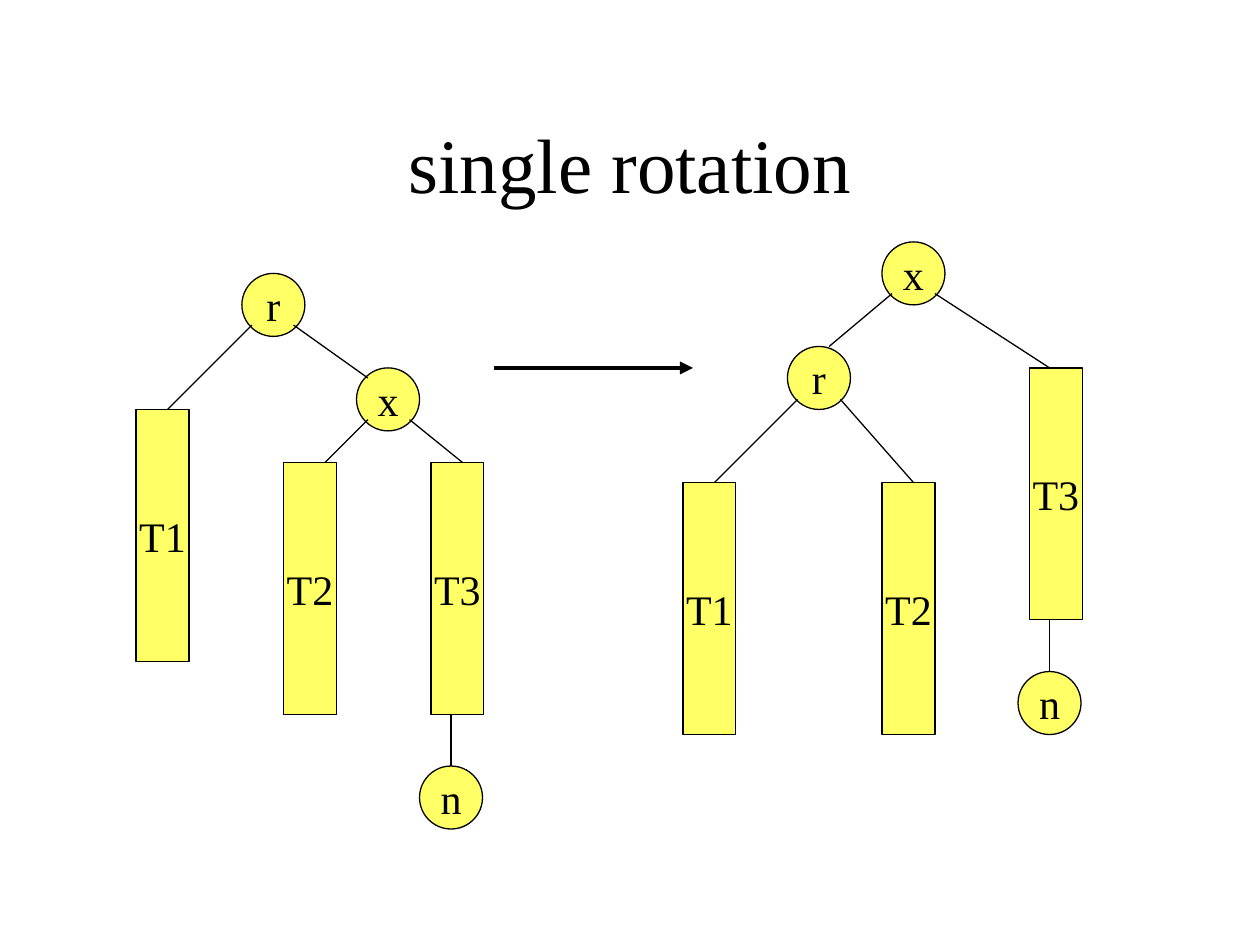
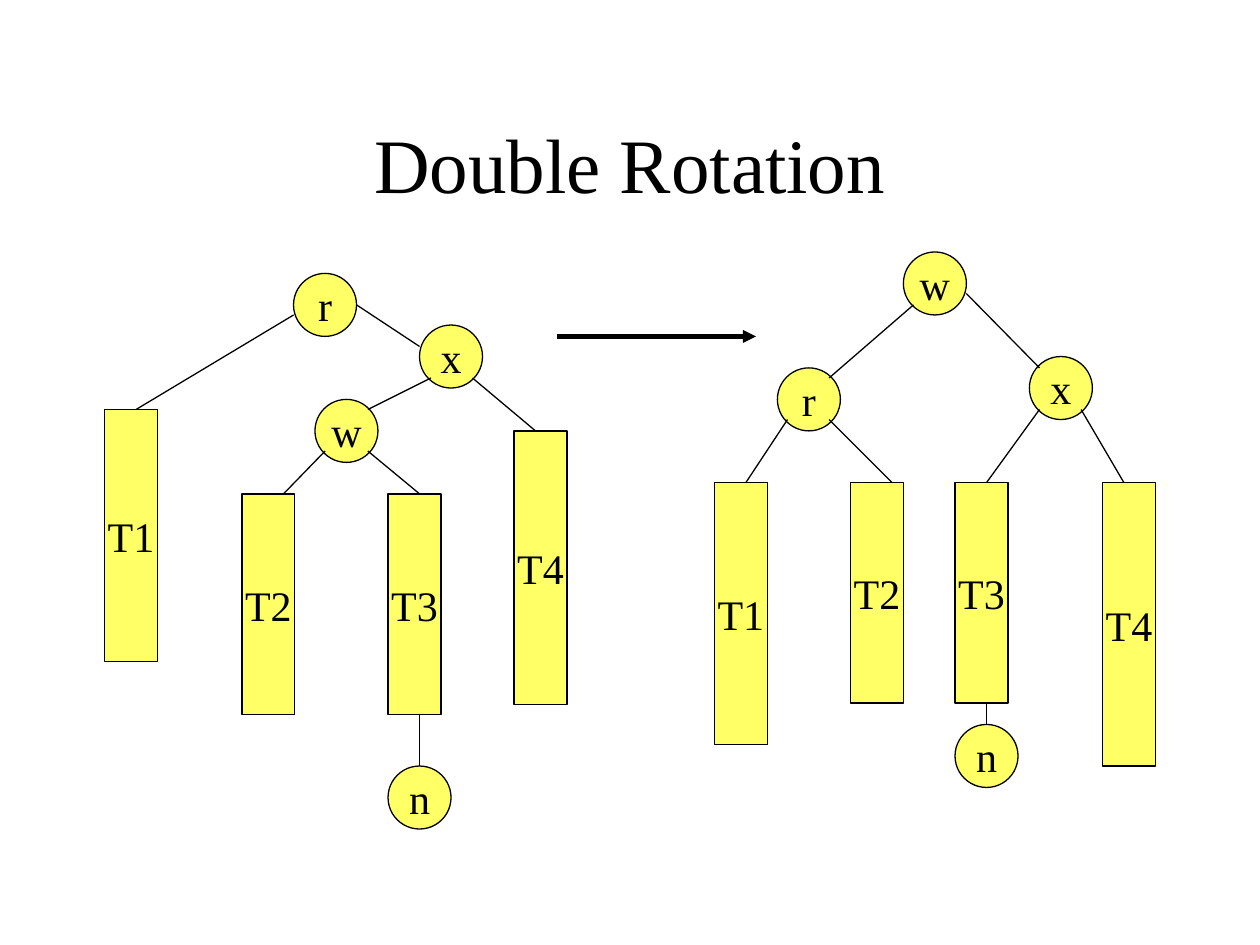
from lxml import etree
from pptx import Presentation
from pptx.dml.color import RGBColor
from pptx.enum.shapes import MSO_CONNECTOR, MSO_SHAPE
from pptx.enum.text import MSO_ANCHOR, PP_ALIGN
from pptx.oxml.ns import qn
from pptx.util import Inches, Pt

OVAL, RECT = MSO_SHAPE.OVAL, MSO_SHAPE.RECTANGLE
STRAIGHT = MSO_CONNECTOR.STRAIGHT
MIDDLE, CENTER = MSO_ANCHOR.MIDDLE, PP_ALIGN.CENTER

COLORS = {"fill": "FFFF66", "ink": "000000", "background": "FFFFFF"}
FONT = "Times New Roman"
NODE_SIZE = 0.5
SUBTREE_WIDTH = 0.42

SLIDES = [
    {
        "title": "single rotation",
        "nodes": [
            ("r", 1.92, 2.17), ("x", 2.83, 2.92), ("n", 3.33, 6.08),
            ("r", 6.25, 2.75), ("x", 7, 1.92), ("n", 8.08, 5.33),
        ],
        "subtrees": [
            ("T1", 1.08, 3.25, 2), ("T2", 2.25, 3.67, 2), ("T3", 3.42, 3.67, 2),
            ("T1", 5.42, 3.83, 2), ("T2", 7, 3.83, 2), ("T3", 8.17, 2.92, 2),
        ],
        "edges": [
            (2, 2.58, 1.33, 3.25), (2.33, 2.58, 2.92, 3),
            (2.92, 3.33, 2.58, 3.67), (3.25, 3.33, 3.67, 3.67),
            (3.58, 5.67, 3.58, 6.08),
            (6.33, 3.17, 5.67, 3.83), (7.08, 2.33, 6.58, 2.75),
            (6.67, 3.17, 7.25, 3.83), (7.42, 2.33, 8.33, 2.92),
            (8.33, 4.92, 8.33, 5.33),
        ],
        "arrow": (3.92, 2.92, 5.5, 2.92),
    },
    {
        "title": "Double Rotation",
        "nodes": [
            ("r", 2.33, 2.17), ("w", 2.5, 3.17), ("x", 3.33, 2.58), ("n", 3.08, 6.08),
            ("r", 6.17, 2.92), ("w", 7.17, 2), ("x", 8.17, 2.83), ("n", 7.58, 5.75),
        ],
        "subtrees": [
            ("T1", 0.83, 3.25, 2), ("T2", 1.92, 3.92, 1.75),
            ("T3", 3.08, 3.92, 1.75), ("T4", 4.08, 3.42, 2.17),
            ("T1", 5.67, 3.83, 2.08), ("T2", 6.75, 3.83, 1.75),
            ("T3", 7.58, 3.83, 1.75), ("T4", 8.75, 3.83, 2.25),
        ],
        "edges": [
            (2.33, 2.5, 1.08, 3.25), (2.83, 2.42, 3.33, 2.75),
            (3.42, 3, 2.92, 3.25), (3.75, 3, 4.25, 3.42),
            (2.58, 3.58, 2.25, 3.92), (2.92, 3.58, 3.33, 3.92),
            (3.33, 5.67, 3.33, 6.08),
            (7.25, 2.42, 6.58, 3), (7.67, 2.33, 8.25, 2.92),
            (6.25, 3.33, 5.92, 3.83), (6.58, 3.33, 7.08, 3.83),
            (8.25, 3.25, 7.83, 3.83), (8.58, 3.25, 8.92, 3.83),
            (7.83, 5.58, 7.83, 5.75),
        ],
        "arrow": (4.42, 2.67, 6, 2.67),
    },
]


class TreeDeck:
    """Hold the shared style and draw tree diagrams on the current slide."""

    def __init__(self):
        self.prs = Presentation()
        self.prs.slide_width, self.prs.slide_height = Inches(10), Inches(7.5)
        self.s = None

    def color(self, name):
        return RGBColor.from_string(COLORS[name])

    def label(self, tf, text, size):
        tf.vertical_anchor = MIDDLE
        p = tf.paragraphs[0]
        p.alignment = CENTER
        r = p.add_run()
        r.text = text
        r.font.name, r.font.size = FONT, Pt(size)
        r.font.color.rgb = self.color("ink")

    def slide(self, title):
        self.s = self.prs.slides.add_slide(self.prs.slide_layouts[5])
        background = self.s.background.fill
        background.solid()
        background.fore_color.rgb = self.color("background")
        sp = self.s.shapes.title
        sp.left, sp.top = Inches(0.75), Inches(0.67)
        sp.width, sp.height = Inches(8.5), Inches(1.25)
        self.label(sp.text_frame, title, 44)

    def box(self, kind, text, left, top, width, height):
        sp = self.s.shapes.add_shape(
            kind, Inches(left), Inches(top), Inches(width), Inches(height))
        sp.shadow.inherit = False
        sp.fill.solid()
        sp.fill.fore_color.rgb = self.color("fill")
        sp.line.color.rgb = self.color("ink")
        sp.line.width = Pt(0.75)
        sp.text_frame.word_wrap = False
        self.label(sp.text_frame, text, 24)

    def node(self, text, left, top):
        self.box(OVAL, text, left, top, NODE_SIZE, NODE_SIZE)

    def subtree(self, text, left, top, height):
        self.box(RECT, text, left, top, SUBTREE_WIDTH, height)

    def edge(self, x1, y1, x2, y2, width=0.75):
        line = self.s.shapes.add_connector(
            STRAIGHT, Inches(x1), Inches(y1), Inches(x2), Inches(y2))
        line.line.color.rgb = self.color("ink")
        line.line.width = Pt(width)
        etree.SubElement(line._element.spPr, qn("a:effectLst"))
        return line

    def arrow(self, x1, y1, x2, y2):
        line = self.edge(x1, y1, x2, y2, 2.5)
        ln = line._element.spPr.find(qn("a:ln"))
        etree.SubElement(ln, qn("a:tailEnd"), type="triangle")


def main():
    deck = TreeDeck()
    for content in SLIDES:
        deck.slide(content["title"])
        for node in content["nodes"]:
            deck.node(*node)
        for subtree in content["subtrees"]:
            deck.subtree(*subtree)
        for edge in content["edges"]:
            deck.edge(*edge)
        deck.arrow(*content["arrow"])
    deck.prs.save("out.pptx")


if __name__ == "__main__":
    main()
